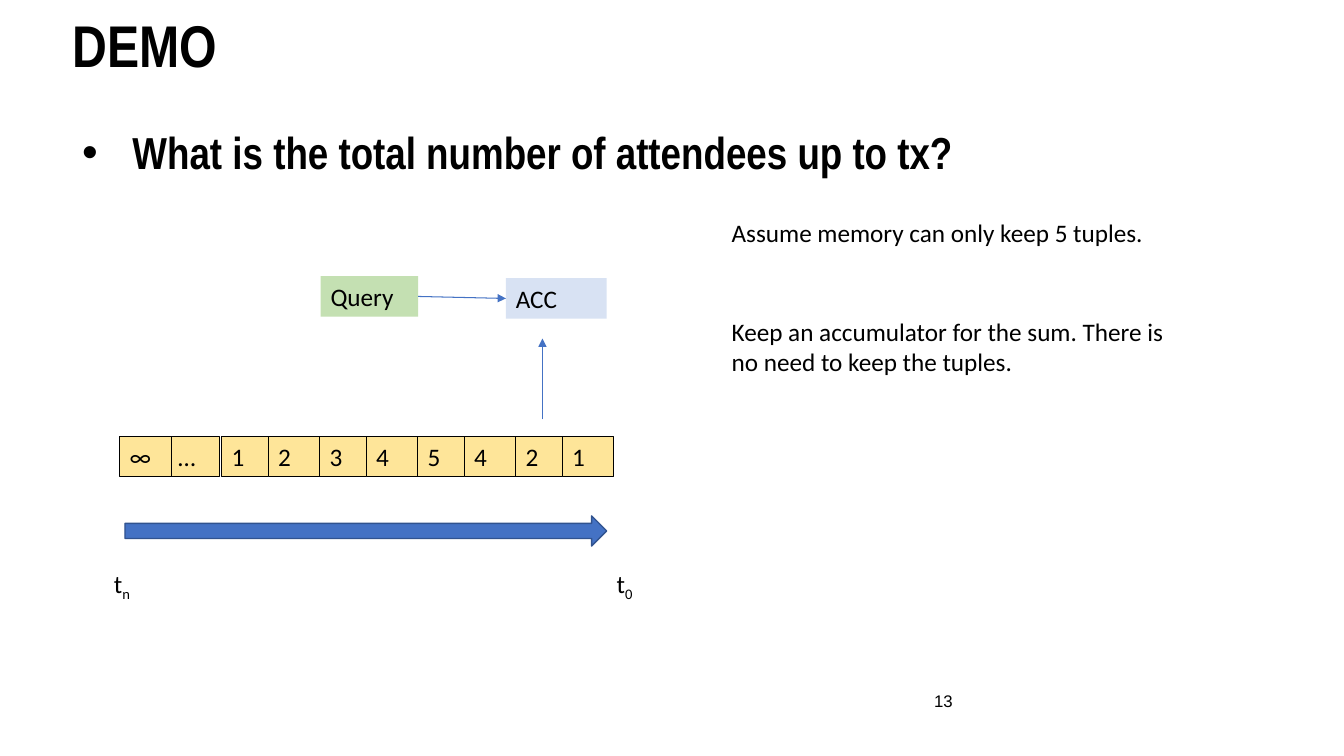
import pptx
import pptx.util
import pptx.dml.color
import pptx.enum.shapes
import pptx.enum.text
import pptx.oxml
import pptx.oxml.ns
from pptx.util import Cm

SHAPE = pptx.enum.shapes.MSO_SHAPE
ALIGN = pptx.enum.text.PP_ALIGN
ANCHOR = pptx.enum.text.MSO_ANCHOR
BLACK = "000000"
BLUE = "4472C4"
ROW = 1.02  # height of a one-line box in cm


def colour(value):
    return pptx.dml.color.RGBColor.from_string(value)


def add_xml(parent, tag, **attributes):
    element = pptx.oxml.parse_xml(f"<a:{tag} {pptx.oxml.ns.nsdecls('a')}/>")
    for name, value in attributes.items():
        element.set(name, value)
    parent.append(element)
    return element


def format_runs(paragraph, size, face, bold=False):
    for run in paragraph.runs:
        run.font.size = pptx.util.Pt(size)
        run.font.name = face
        run.font.bold = bold
        run.font.color.rgb = colour(BLACK)


def write(shape, text, size=18, face="Calibri", bold=False,
          align=ALIGN.LEFT, anchor=ANCHOR.TOP):
    frame = shape.text_frame
    frame.text = text
    frame.word_wrap = True
    frame.vertical_anchor = anchor
    paragraph = frame.paragraphs[0]
    paragraph.alignment = align
    format_runs(paragraph, size, face, bold)
    return paragraph


def add_text(slide, left, top, width, height, text, **style):
    box = slide.shapes.add_textbox(Cm(left), Cm(top), Cm(width), Cm(height))
    return write(box, text, **style)


def add_block(slide, left, top, width, height, fill, line=None,
              line_width=0.75, kind=SHAPE.RECTANGLE):
    block = slide.shapes.add_shape(kind, Cm(left), Cm(top), Cm(width), Cm(height))
    block.shadow.inherit = False
    block.fill.solid()
    block.fill.fore_color.rgb = colour(fill)
    if line:
        block.line.color.rgb = colour(line)
        block.line.width = pptx.util.Pt(line_width)
    else:
        block.line.fill.background()
    return block


def add_arrow(slide, x1, y1, x2, y2):
    arrow = slide.shapes.add_connector(
        pptx.enum.shapes.MSO_CONNECTOR.STRAIGHT, Cm(x1), Cm(y1), Cm(x2), Cm(y2))
    arrow.line.color.rgb = colour(BLUE)
    arrow.line.width = pptx.util.Pt(0.75)
    add_xml(arrow.line._get_or_add_ln(), "tailEnd", type="triangle")
    add_xml(arrow._element.spPr, "effectLst")
    return arrow


def add_title(slide, left, top, width, height):
    title = slide.shapes.title
    title.left, title.top = Cm(left), Cm(top)
    title.width, title.height = Cm(width), Cm(height)
    frame = title.text_frame
    frame.auto_size = pptx.enum.text.MSO_AUTO_SIZE.NONE
    frame.margin_left = frame.margin_right = Cm(0.13)
    frame.margin_top = frame.margin_bottom = Cm(0.13)
    heading = write(title, "DEMO", size=42, face="Arial Narrow", bold=True)
    heading.line_spacing = 0.9


def add_question(slide, left, top, width, height):
    question = add_text(slide, left, top, width, height,
                        "What is the total number of attendees up to tx?",
                        size=32, face="Arial Narrow", bold=True)
    properties = question._p.get_or_add_pPr()
    properties.set("marL", str(Cm(1.9)))
    properties.set("indent", str(Cm(-1.27)))
    bullet_colour = add_xml(properties, "buClr")
    add_xml(bullet_colour, "srgbClr", val=BLACK)
    add_xml(properties, "buFont", typeface="Arial")
    add_xml(properties, "buChar", char="•")


def add_notes_column(slide, left, top):
    add_text(slide, left, top, 13.41, ROW, "Assume memory can only keep 5 tuples.")
    add_text(slide, left, top + 2.49, 11.76, 1.8,
             "Keep an accumulator for the sum. "
             "There is no need to keep the tuples.")


def add_stream(slide, left, top):
    """Cells of the stream: digits in pairs, then the two open-ended cells."""
    cells = [(2.57 + 2.47 * (i // 2) + 1.17 * (i % 2), digit)
             for i, digit in enumerate("12345421")]
    cells += [(1.22, "…"), (0, "∞")]
    for offset, value in cells:
        cell = add_block(slide, left + offset, top, 1.3, ROW, "FEE599", BLACK)
        write(cell, value)


def add_time_label(slide, left, top, index):
    label = add_text(slide, left, top, 1.07, ROW, "t")
    subscript = label.add_run()
    subscript.text = index
    format_runs(label, 18, "Calibri")
    subscript._r.get_or_add_rPr().set("baseline", "-25000")


def add_diagram(slide, left, top):
    # Stream and time axis
    add_stream(slide, left + 0.4, top + 4.04)
    add_block(slide, left + 0.53, top + 6.04, 12.14, 0.76, BLUE, "31538F", 1,
              SHAPE.RIGHT_ARROW)
    add_time_label(slide, left + 12.67, top + 7.24, "0")
    add_time_label(slide, left, top + 7.24, "n")

    # Query and accumulator
    query = add_block(slide, left + 5.46, top, 2.46, ROW, "C4E0B2")
    write(query, "Query")
    add_arrow(slide, left + 11.05, top + 3.61, left + 11.05, top + 1.57)
    accumulator = add_block(slide, left + 10.13, top + 0.05, 2.54, ROW, "D8E2F3")
    write(accumulator, "ACC")
    lookup = add_arrow(slide, left + 7.92, top + 0.51, left + 10.13, top + 0.56)
    lookup.begin_connect(query, 3)
    lookup.end_connect(accumulator, 1)


def main():
    deck = pptx.Presentation()
    deck.slide_width, deck.slide_height = Cm(33.87), Cm(19.05)
    slide = deck.slides.add_slide(deck.slide_layouts.get_by_name("Title Only"))
    add_title(slide, 1.7, 0.28, 30.48, 1.42)
    # Slide number
    add_text(slide, 16.36, 17.15, 7.9, ROW, "13", size=12, face="Arial",
             align=ALIGN.RIGHT, anchor=ANCHOR.MIDDLE)
    add_question(slide, 1.19, 3.02, 31.88, 10.46)
    add_notes_column(slide, 18.19, 5.36)
    add_diagram(slide, 2.62, 6.96)
    deck.save("out.pptx")


if __name__ == "__main__":
    main()
